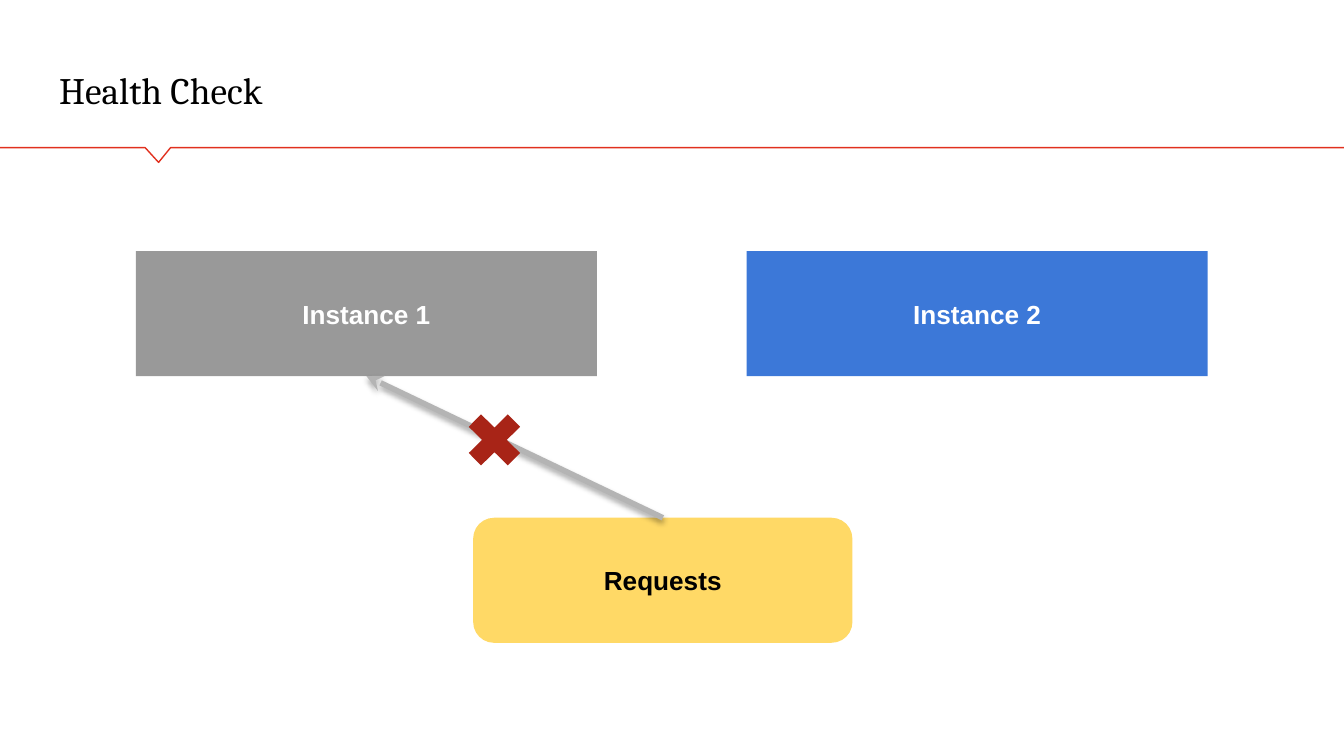
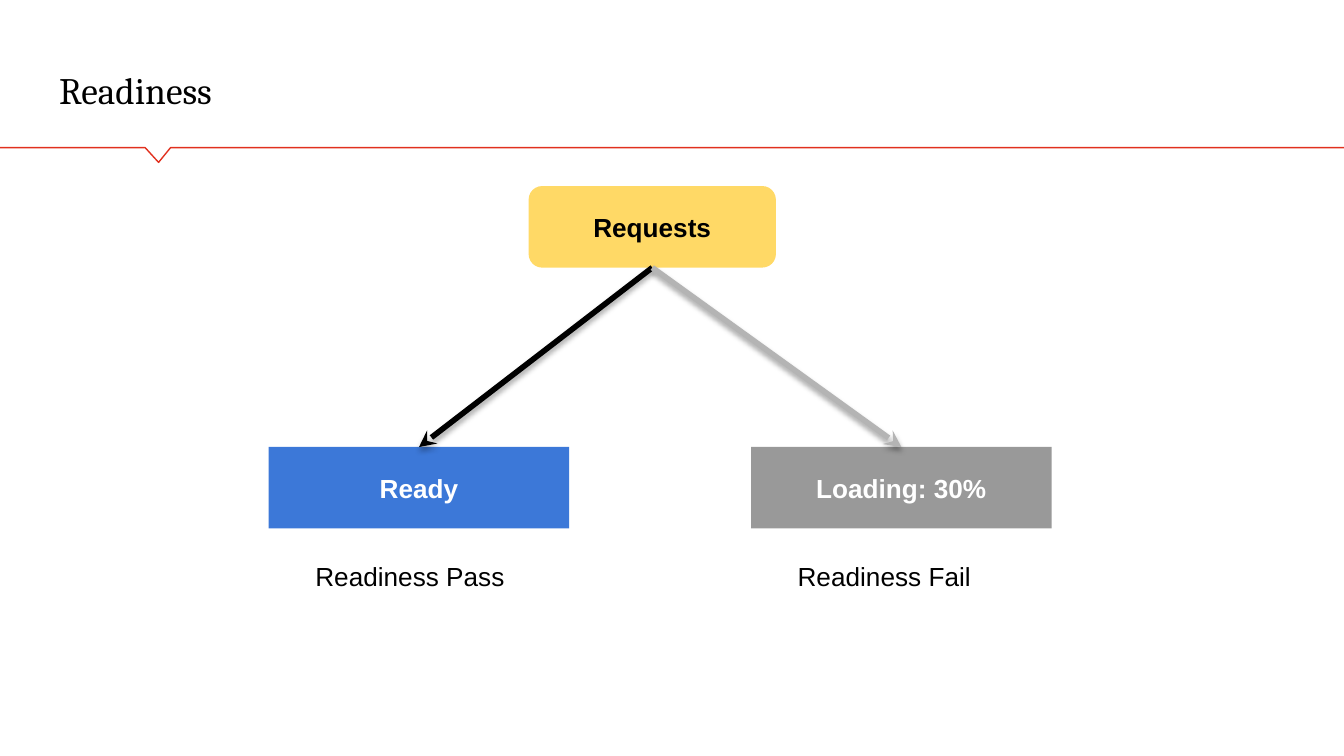
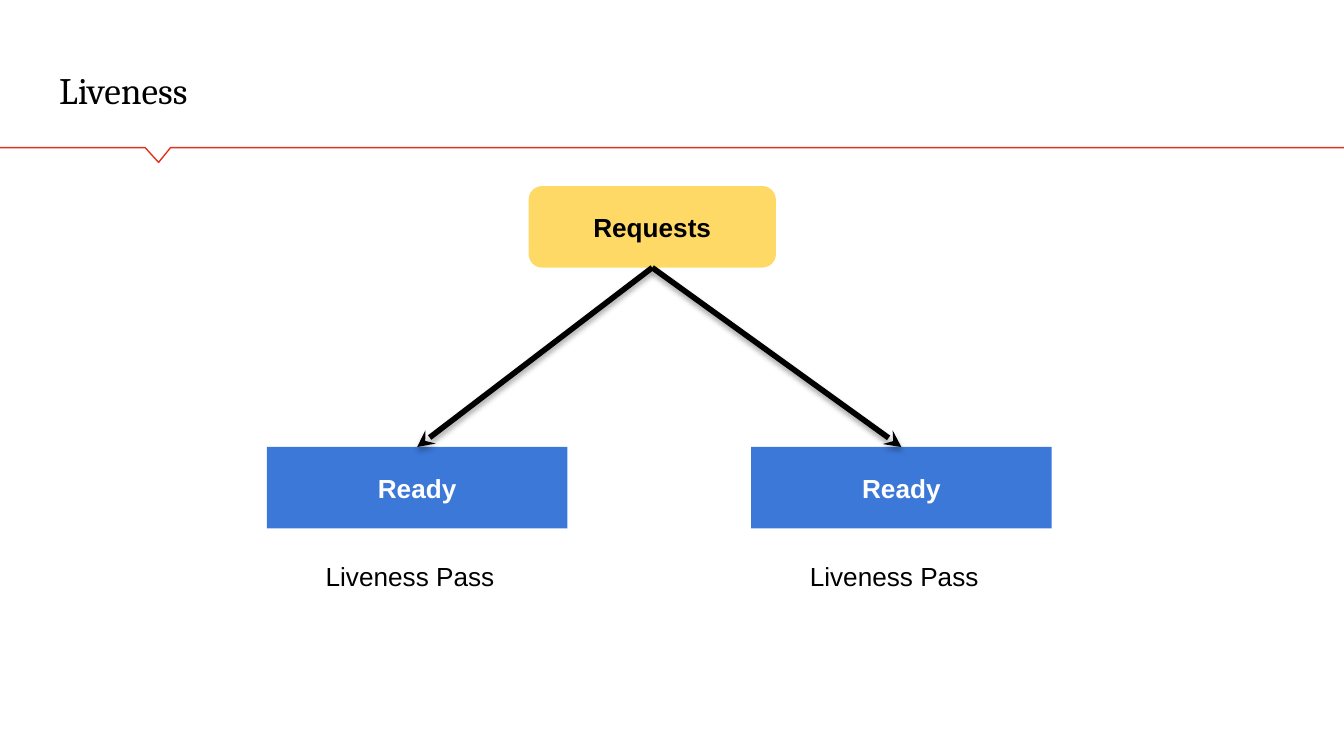
from lxml import etree
from pptx import Presentation
from pptx.dml.color import RGBColor
from pptx.enum import shapes, text
from pptx.oxml import ns
from pptx.util import Pt

RED, CROSS = "E1301E", "A82417"
BLUE, GREY, GOLD = "3C78D8", "999999", "FFD966"
BLACK, WHITE, PALE = "000000", "FFFFFF", "B4B4B4"
RECT = shapes.MSO_SHAPE.RECTANGLE
ROUND = shapes.MSO_SHAPE.ROUNDED_RECTANGLE
TOP, BOTTOM = 0, 2
WIDTH, HEIGHT, INSET = 720, 405, 7.2


def color(hue):
    return RGBColor.from_string(hue)


def write(shape, words, size, hue, face="Arial", bold=False,
          align=text.PP_ALIGN.LEFT, anchor=text.MSO_ANCHOR.TOP):
    frame = shape.text_frame
    frame.word_wrap = True
    frame.auto_size = text.MSO_AUTO_SIZE.NONE
    frame.vertical_anchor = anchor
    frame.margin_left = frame.margin_right = Pt(INSET)
    frame.margin_top = frame.margin_bottom = Pt(INSET)
    frame.text = words
    para = frame.paragraphs[0]
    para.alignment = align
    para.font.name, para.font.size, para.font.bold = face, Pt(size), bold
    para.font.color.rgb = color(hue)


def draw_rule(slide):
    """Draw the line under the title, with its notch."""
    level, dip = 79.1, 87
    path = slide.shapes.build_freeform(Pt(WIDTH), Pt(level))
    points = [(91.4, level), (85, dip), (77.8, level), (0, level)]
    path.add_line_segments([(Pt(x), Pt(y)) for x, y in points], close=False)
    rule = path.convert_to_shape()
    rule.shadow.inherit = False
    rule.fill.background()
    rule.line.color.rgb = color(RED)
    rule.line.width = Pt(0.75)


def add_slide(deck, words):
    slide = deck.slides.add_slide(deck.slide_layouts[5])
    draw_rule(slide)
    title = slide.shapes.title
    title.left, title.top = Pt(24.5), Pt(17.3)
    title.width, title.height = Pt(671), Pt(49.7)
    write(title, words, 20, BLACK, "Cambria", anchor=text.MSO_ANCHOR.BOTTOM)
    return slide


def add_form(slide, kind, area, fill):
    form = slide.shapes.add_shape(kind, *map(Pt, area))
    form.shadow.inherit = False
    form.fill.solid()
    form.fill.fore_color.rgb = color(fill)
    form.line.fill.background()
    return form


def add_box(slide, words, area, fill, kind=RECT, hue=WHITE):
    box = add_form(slide, kind, area, fill)
    write(box, words, 14, hue, bold=True, align=text.PP_ALIGN.CENTER,
          anchor=text.MSO_ANCHOR.MIDDLE)
    return box


def add_source(slide, area):
    return add_box(slide, "Requests", area, GOLD, ROUND, BLACK)


def add_label(slide, words, box, width):
    """Place a label centred below a box."""
    left = box.left + (box.width - Pt(width)) // 2
    label = slide.shapes.add_textbox(left, Pt(293), Pt(width), Pt(31))
    write(label, words, 14, BLACK)


def add_arrow(slide, target, side, source, exit_side, hue):
    """Join two boxes, with the arrowhead and a soft shadow at the target."""
    line = slide.shapes.add_connector(shapes.MSO_CONNECTOR.STRAIGHT, 0, 0, 0, 0)
    line.begin_connect(target, side)
    line.end_connect(source, exit_side)
    line.line.color.rgb = color(hue)
    line.line.width = Pt(3)
    props = line.line._get_or_add_ln()
    etree.SubElement(props, ns.qn("a:headEnd"), type="stealth")
    effects = etree.SubElement(line._element.spPr, ns.qn("a:effectLst"))
    shadow = etree.SubElement(
        effects, ns.qn("a:outerShdw"), blurRad=str(Pt(3.1)),
        dist=str(Pt(1.8)), dir="5400000", rotWithShape="0")
    shade = etree.SubElement(shadow, ns.qn("a:srgbClr"), val=BLACK)
    etree.SubElement(shade, ns.qn("a:alpha"), val="35000")


def add_health(deck):
    slide = add_slide(deck, "Health Check")
    first = add_box(slide, "Instance 1", (72.8, 134.5, 247, 67), GREY)
    add_box(slide, "Instance 2", (400, 134.5, 247, 67), BLUE)
    source = add_source(slide, (253.5, 277.4, 203.2, 67))
    add_arrow(slide, first, BOTTOM, source, TOP, PALE)
    cross = add_form(slide, shapes.MSO_SHAPE.MATH_MULTIPLY,
                     (244.8, 215.8, 40.2, 39.8), CROSS)
    cross.adjustments[0] = 0.235


def add_probe(deck, title, width, targets):
    """Show requests going to targets of (left, state, fill, result, arrow)."""
    slide = add_slide(deck, title)
    source = add_source(slide, (283.2, 99.7, 132.5, 43.7))
    for left, state, fill, result, hue in targets:
        box = add_box(slide, state, (left, 239.5, 161, 43.6), fill)
        add_arrow(slide, box, TOP, source, BOTTOM, hue)
        add_label(slide, f"{title} {result}", box, width)


def main():
    deck = Presentation()
    deck.slide_width, deck.slide_height = Pt(WIDTH), Pt(HEIGHT)
    add_health(deck)
    add_probe(deck, "Readiness", 125.3, [
        (144, "Ready", BLUE, "Pass", BLACK),
        (402.4, "Loading: 30%", GREY, "Fail", PALE)])
    add_probe(deck, "Liveness", 112.3, [
        (143, "Ready", BLUE, "Pass", BLACK),
        (402.4, "Ready", BLUE, "Pass", BLACK)])
    deck.save("out.pptx")


if __name__ == "__main__":
    main()
